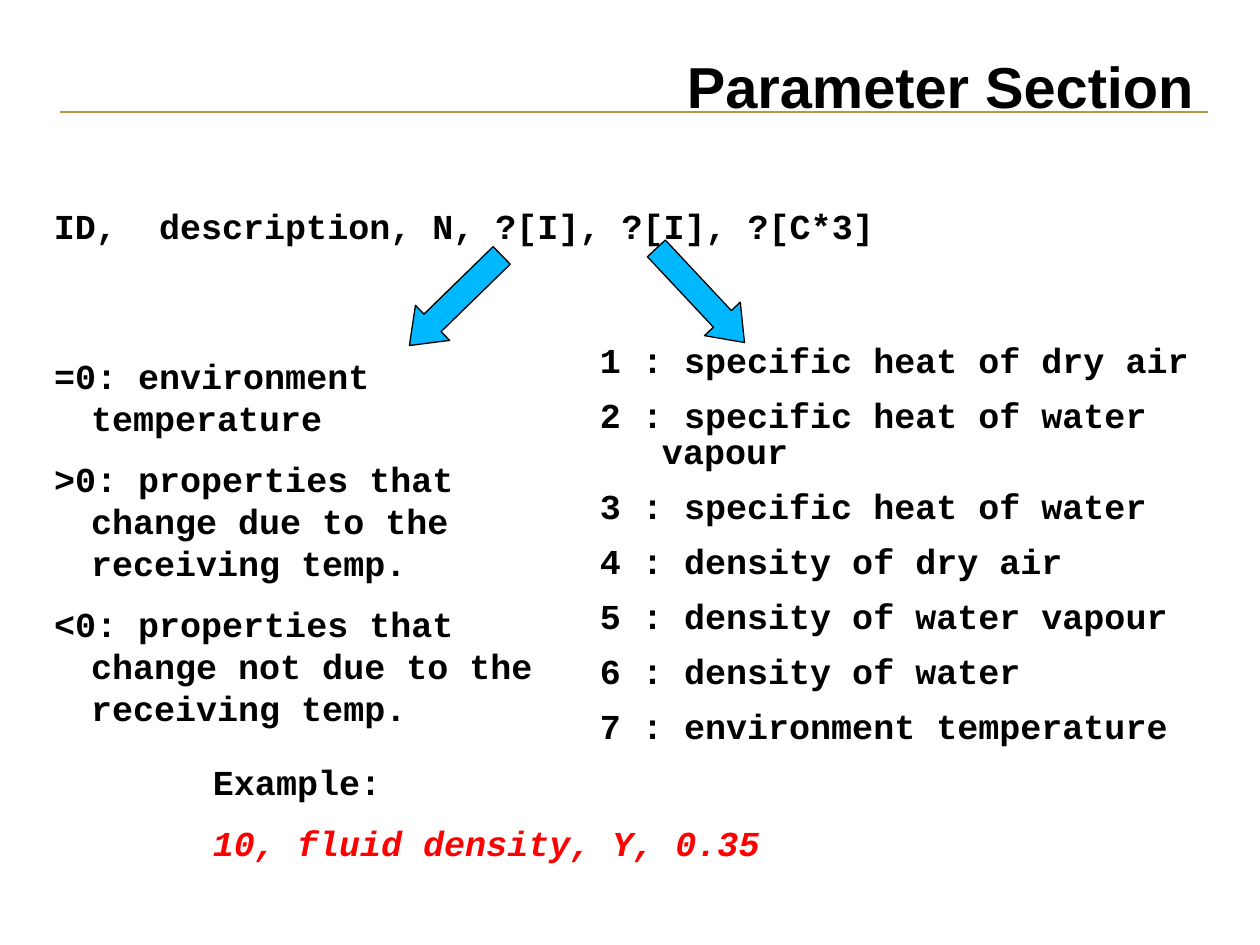
from dataclasses import dataclass

from pptx import Presentation
from pptx.dml.color import RGBColor
from pptx.enum.shapes import MSO_CONNECTOR as Connector, MSO_SHAPE as ShapeKind
from pptx.enum.text import MSO_ANCHOR as Anchor, MSO_AUTO_SIZE as AutoSize, PP_ALIGN as Align
from pptx.oxml.ns import qn
from pptx.util import Emu, Pt

EMU_PER_PIXEL = 914400 / 126
COLORS = {"text": "000000", "example": "FF0000", "arrow": "00B8FF", "rule": "B39942"}


@dataclass(frozen=True)
class Box:
    left: int
    top: int
    width: int
    height: int


@dataclass(frozen=True)
class TextBlock:
    box: Box
    lines: tuple[str, ...]
    indent: int = 37
    space_before: float = 11
    line_spacing: float = 1.0


@dataclass(frozen=True)
class Arrow:
    box: Box
    rotation: float


TITLE_BOX = Box(63, 59, 1147, 62)
SYNTAX = TextBlock(Box(54, 204, 893, 59), ("ID,  description, N, ?[I], ?[I], ?[C*3]",))
EXAMPLE = TextBlock(Box(213, 760, 893, 108), ("Example:", "10, fluid density, Y, 0.35"))
SIGNS = TextBlock(
    Box(54, 354, 546, 387),
    (
        "=0: environment temperature",
        ">0: properties that change due to the receiving temp.",
        "<0: properties that change not due to the receiving temp.",
    ),
)
PROPERTIES = TextBlock(
    Box(600, 344, 625, 437),
    (
        "1 : specific heat of dry air",
        "2 : specific heat of water vapour",
        "3 : specific heat of water",
        "4 : density of dry air",
        "5 : density of water vapour",
        "6 : density of water",
        "7 : environment temperature",
    ),
    indent=62,
    space_before=10.5,
    line_spacing=0.87,
)
ARROWS = (Arrow(Box(391, 276, 129, 49), 135.7), Arrow(Box(636, 271, 129, 49), 46.9))


def px(pixels: int) -> Emu:
    return Emu(round(pixels * EMU_PER_PIXEL))


def color(name: str) -> RGBColor:
    return RGBColor.from_string(COLORS[name])


def place(shape, box: Box) -> None:
    shape.left, shape.top = px(box.left), px(box.top)
    shape.width, shape.height = px(box.width), px(box.height)


def prepare_frame(shape, anchor: Anchor):
    frame = shape.text_frame
    frame.margin_left = frame.margin_top = frame.margin_right = frame.margin_bottom = 0
    frame.word_wrap = True
    frame.auto_size = AutoSize.NONE
    frame.vertical_anchor = anchor
    return frame


def format_run(run, font_name: str, size: int) -> None:
    run.font.name = font_name
    run.font.size = Pt(size)
    run.font.bold = True
    run.font.color.rgb = color("text")


def write_title(shape) -> None:
    place(shape, TITLE_BOX)
    frame = prepare_frame(shape, Anchor.MIDDLE)
    frame.text = "Parameter Section "
    paragraph = frame.paragraphs[0]
    paragraph.alignment = Align.RIGHT
    paragraph.line_spacing = 0.9
    format_run(paragraph.runs[0], "Arial", 33)


def write_block(shape, block: TextBlock):
    place(shape, block.box)
    frame = prepare_frame(shape, Anchor.TOP)
    frame.text = "\n".join(block.lines)
    for paragraph in frame.paragraphs:
        paragraph.alignment = Align.LEFT
        paragraph.line_spacing = block.line_spacing
        paragraph.space_before = Pt(block.space_before)
        properties = paragraph._p.get_or_add_pPr()
        properties.set("marL", str(px(block.indent)))
        properties.set("indent", str(-px(block.indent)))
        properties.append(properties.makeelement(qn("a:buNone"), {}))
        format_run(paragraph.runs[0], "Courier New", 20)
    return frame


def add_block(slide, block: TextBlock):
    return write_block(slide.shapes.add_textbox(0, 0, 0, 0), block)


def add_rule(slide) -> None:
    rule = slide.shapes.add_connector(Connector.STRAIGHT, px(60), px(112), px(1208), px(112))
    rule.line.color.rgb = color("rule")
    rule.line.width = Pt(1.5)
    properties = rule._element.spPr
    properties.append(properties.makeelement(qn("a:effectLst"), {}))


def add_arrow(slide, arrow: Arrow) -> None:
    shape = slide.shapes.add_shape(ShapeKind.RIGHT_ARROW, 0, 0, 0, 0)
    place(shape, arrow.box)
    shape.rotation = arrow.rotation
    shape.adjustments[0] = 0.5
    shape.adjustments[1] = 0.66
    shape.shadow.inherit = False
    shape.fill.solid()
    shape.fill.fore_color.rgb = color("arrow")
    shape.line.color.rgb = color("text")
    shape.line.width = Pt(0.74)


presentation = Presentation()
presentation.slide_width, presentation.slide_height = px(1260), px(945)
slide = presentation.slides.add_slide(presentation.slide_layouts.get_by_name("Two Content"))

add_rule(slide)
write_title(slide.shapes.title)
write_block(slide.placeholders[1], SIGNS)
write_block(slide.placeholders[2], PROPERTIES)
add_block(slide, SYNTAX)
example_run = add_block(slide, EXAMPLE).paragraphs[1].runs[0]
example_run.font.italic = True
example_run.font.color.rgb = color("example")
for arrow in ARROWS:
    add_arrow(slide, arrow)

presentation.save("out.pptx")
